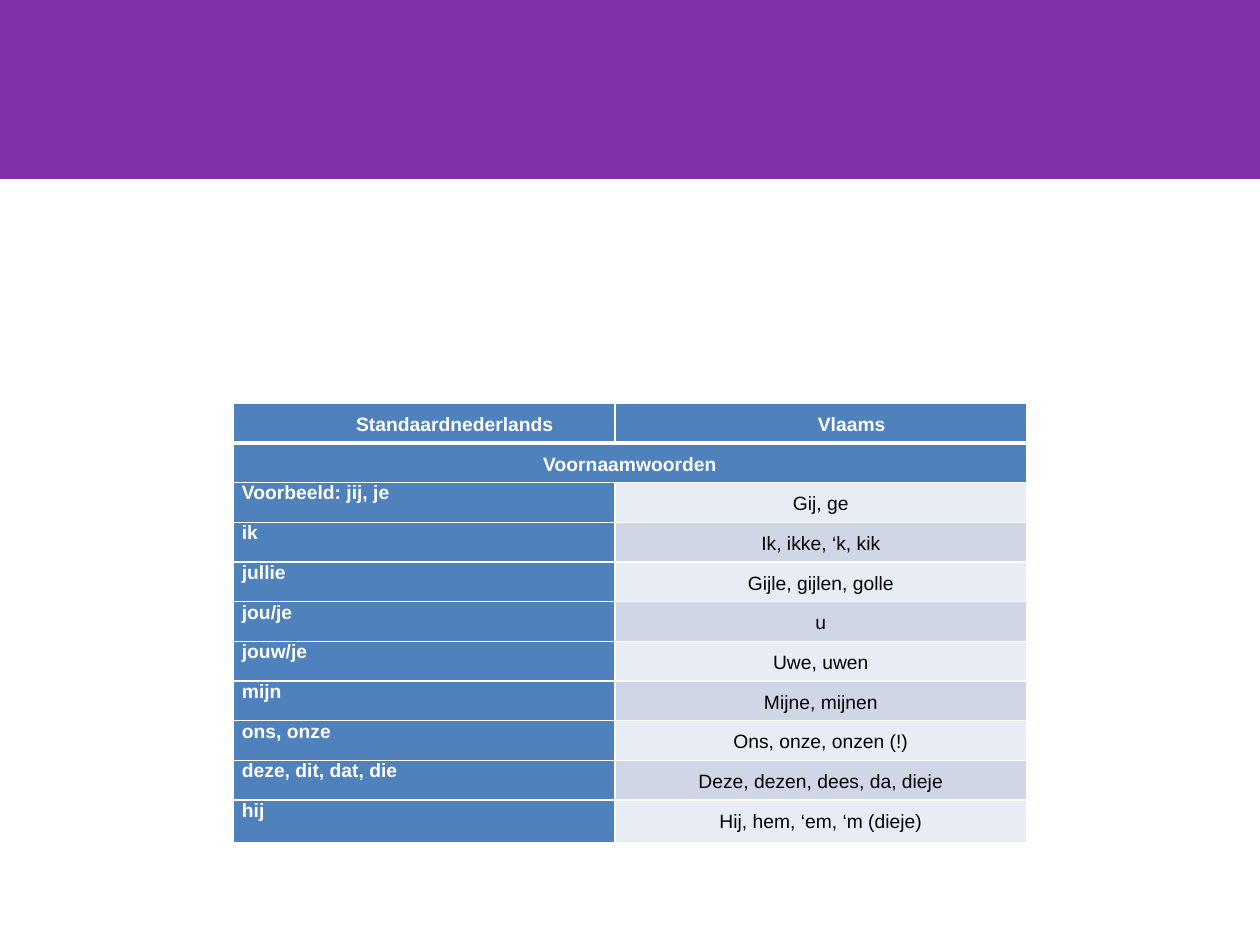
"""Build a slide with a table of Dutch and Flemish pronouns."""
from lxml.etree import SubElement
from pptx import Presentation
from pptx.dml.color import RGBColor
from pptx.enum.shapes import MSO_SHAPE
from pptx.enum.text import PP_ALIGN
from pptx.oxml.ns import qn
from pptx.util import Inches, Pt

HEADS = ["Standaardnederlands", "Vlaams"]
TOPIC = "Voornaamwoorden"
WORDS = [
    ("Voorbeeld: jij, je", "Gij, ge"),
    ("ik", "Ik, ikke, ‘k, kik"),
    ("jullie", "Gijle, gijlen, golle"),
    ("jou/je", "u"),
    ("jouw/je", "Uwe, uwen"),
    ("mijn", "Mijne, mijnen"),
    ("ons, onze", "Ons, onze, onzen (!)"),
    ("deze, dit, dat, die", "Deze, dezen, dees, da, dieje"),
    ("hij", "Hij, hem, ‘em, ‘m (dieje)"),
]
COLORS = {
    "band": "8031A7",
    "blue": "4F81BD",
    "light": "E8ECF4",
    "dark": "CFD7E7",
    "white": "FFFFFF",
    "black": "000000",
}
WIDTHS = [3.03, 3.27]
LAST = 0.34
STEP = 3.15 / (len(WORDS) + 1)


def color(name):
    return RGBColor.from_string(COLORS[name])


def add_edges(cell, top, bottom):
    props = cell._tc.get_or_add_tcPr()
    for side, size in (("L", 1), ("R", 1), ("T", top), ("B", bottom)):
        line = SubElement(props, qn(f"a:ln{side}"), w=str(Pt(size)))
        fill = SubElement(line, qn("a:solidFill"))
        SubElement(fill, qn("a:srgbClr"), val=COLORS["white"])


def style_cell(cell, fill, top=1, bottom=1):
    add_edges(cell, top, bottom)
    cell.fill.solid()
    cell.fill.fore_color.rgb = color(fill)
    cell.margin_left = cell.margin_right = Inches(0.07)
    cell.margin_top = cell.margin_bottom = 0


def write(cell, text, ink="white", center=True, indent=0):
    para = cell.text_frame.paragraphs[0]
    if indent:
        para._p.get_or_add_pPr().set("marL", str(Inches(indent)))
    if center:
        para.alignment = PP_ALIGN.CENTER
        para.line_spacing = 1.5
    run = para.add_run()
    run.text = text
    run.font.name = "Arial"
    run.font.size = Pt(11)
    run.font.bold = ink == "white"
    run.font.color.rgb = color(ink)


def add_band(slide):
    band = slide.shapes.add_shape(
        MSO_SHAPE.RECTANGLE, 0, 0, Inches(10), Inches(1.42))
    band.shadow.inherit = False
    band.fill.solid()
    band.fill.fore_color.rgb = color("band")
    band.line.fill.background()


def add_words(slide):
    count = len(WORDS) + 2
    table = slide.shapes.add_table(
        count, 2, Inches(1.85), Inches(3.2), Inches(sum(WIDTHS)),
        Inches(STEP * (count - 1) + LAST)).table
    for col, width in zip(table.columns, WIDTHS):
        col.width = Inches(width)
    for row in table.rows:
        row.height = Inches(STEP)
    table.rows[count - 1].height = Inches(LAST)

    for col, head in enumerate(HEADS):
        style_cell(table.cell(0, col), "blue", bottom=3)
        write(table.cell(0, col), head, indent=0.49)
        style_cell(table.cell(1, col), "blue", top=3)
    table.cell(1, 0).merge(table.cell(1, 1))
    write(table.cell(1, 0), TOPIC)

    for row, (dutch, local) in enumerate(WORDS, 2):
        left, right = table.cell(row, 0), table.cell(row, 1)
        style_cell(left, "blue")
        write(left, dutch, center=False)
        style_cell(right, "dark" if row % 2 else "light")
        write(right, local, ink="black")


def main():
    deck = Presentation()
    deck.slide_width, deck.slide_height = Inches(10), Inches(7.5)
    slide = deck.slides.add_slide(deck.slide_layouts[6])
    add_band(slide)
    add_words(slide)
    deck.save("out.pptx")


if __name__ == "__main__":
    main()
